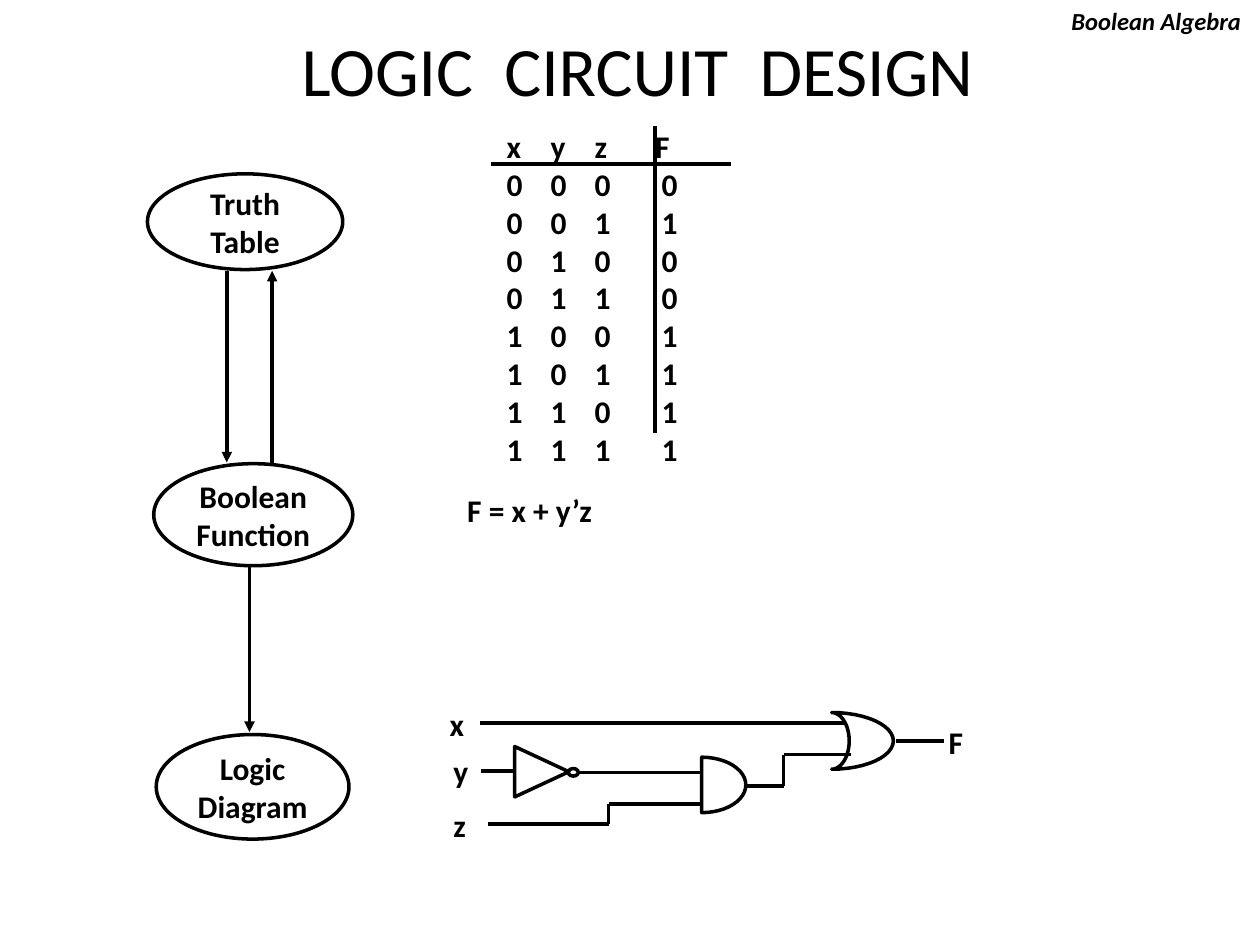
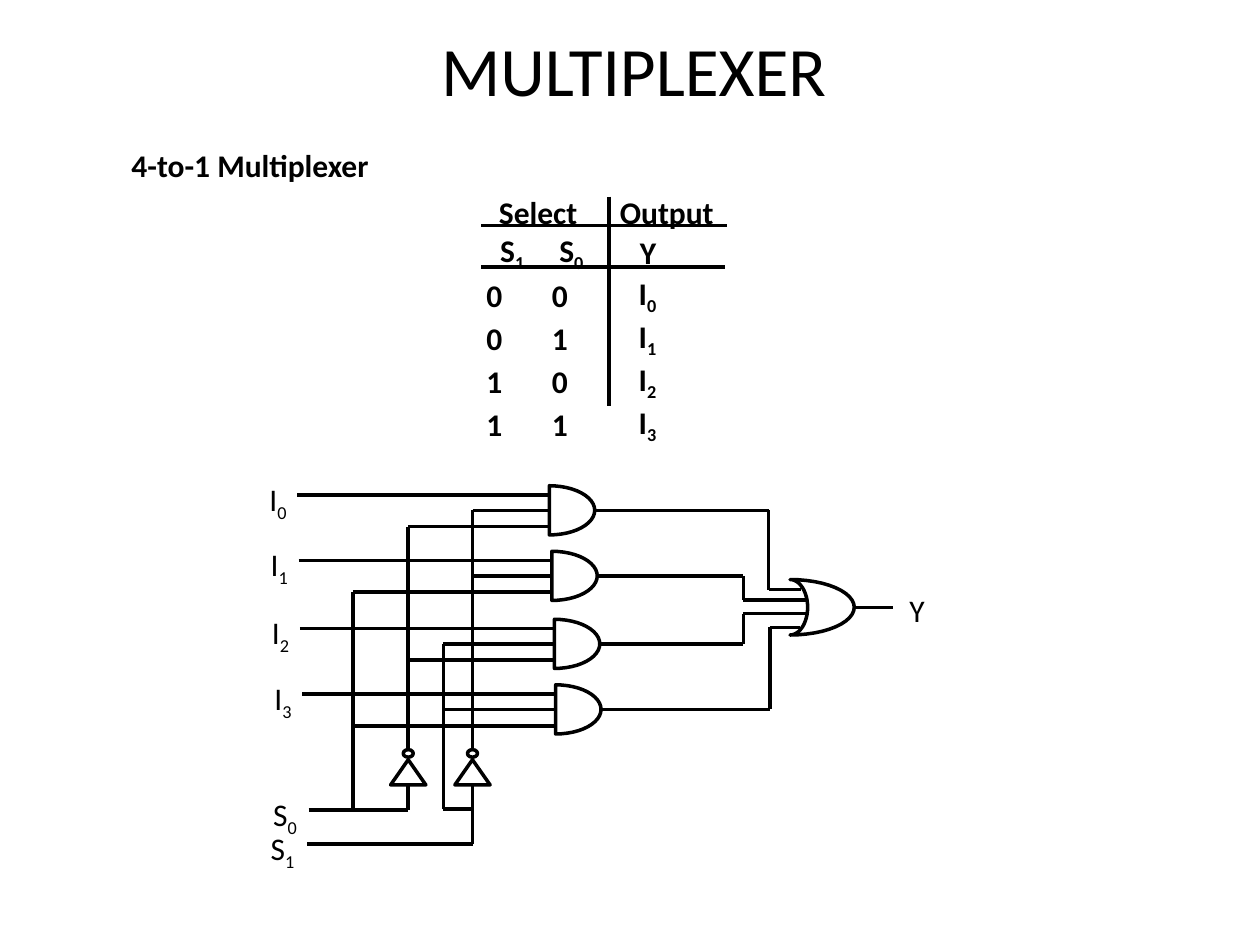
import math

import pptx
import pptx.dml.color
import pptx.enum.shapes
import pptx.enum.text
import pptx.util
import pptx.oxml.ns
import lxml.etree

COLS, ROWS = 100, 75
INKS = {"ink": "000000", "paper": "FFFFFF"}
FACE = "Calibri"
PLAIN = "{2D5ABB26-0587-4C30-8999-92F81FD0307C}"  # table style without grid
KIND = pptx.enum.shapes.MSO_SHAPE
ALIGN = pptx.enum.text.PP_ALIGN
ANCHOR = pptx.enum.text.MSO_ANCHOR


def tag(name):
    return pptx.oxml.ns.qn(name)


def ink(name):
    return pptx.dml.color.RGBColor.from_string(INKS[name])


class Deck:
    """Style and current slide; lengths are grid columns and rows."""

    def __init__(self):
        self.prs = pptx.Presentation()
        self.prs.slide_width = pptx.util.Inches(10)
        self.prs.slide_height = pptx.util.Inches(7.5)
        self.slide = None

    def x(self, cols):
        return round(self.prs.slide_width * cols / COLS)

    def y(self, rows):
        return round(self.prs.slide_height * rows / ROWS)

    def box(self, left, top, wide, high):
        return self.x(left), self.y(top), self.x(wide), self.y(high)

    def page(self, title, left):
        self.slide = self.prs.slides.add_slide(self.prs.slide_layouts[6])
        fill = self.slide.background.fill
        fill.solid()
        fill.fore_color.rgb = ink("paper")
        self.text(title, left, 3.4, 93.2, 4.1, size=39.6, bold=False,
                  align=ALIGN.CENTER, anchor=ANCHOR.MIDDLE)

    def words(self, para, text, size=18, bold=True, italic=False, align=ALIGN.LEFT):
        """Fill a paragraph; what follows "_" is a subscript."""
        para.alignment = align
        font = para.font
        font.name, font.size = FACE, pptx.util.Pt(size)
        font.bold, font.italic = bold, italic
        font.color.rgb = ink("ink")
        for i, part in enumerate(text.split("_")):
            run = para.add_run()
            run.text = part
            if i:
                run._r.get_or_add_rPr().set("baseline", "-25000")

    def text(self, text, left, top, wide=4.6, high=3.7, anchor=ANCHOR.TOP, **style):
        frame = self.slide.shapes.add_textbox(*self.box(left, top, wide, high)).text_frame
        frame.word_wrap = True
        frame.vertical_anchor = anchor
        self.words(frame.paragraphs[0], text, **style)

    def trim(self, shape):
        """Black outline, no fill, no shadow."""
        shape.shadow.inherit = False
        shape.fill.background()
        shape.line.color.rgb = ink("ink")
        shape.line.width = pptx.util.Pt(2)
        return shape

    def shape(self, kind, left, top, wide, high):
        return self.trim(self.slide.shapes.add_shape(kind, *self.box(left, top, wide, high)))

    def bubble(self, lines, *box):
        frame = self.shape(KIND.OVAL, *box).text_frame
        frame.word_wrap = False
        frame.vertical_anchor = ANCHOR.MIDDLE
        frame.margin_top = frame.margin_bottom = 0
        for i, line in enumerate(lines):
            para = frame.add_paragraph() if i else frame.paragraphs[0]
            self.words(para, line, align=ALIGN.CENTER)

    def wire(self, *dots, arrow=False, width=2):
        """Straight connectors from each (column, row) to the next."""
        for (x1, y1), (x2, y2) in zip(dots, dots[1:]):
            line = self.slide.shapes.add_connector(
                pptx.enum.shapes.MSO_CONNECTOR.STRAIGHT,
                self.x(x1), self.y(y1), self.x(x2), self.y(y2))
            line.line.color.rgb = ink("ink")
            line.line.width = pptx.util.Pt(width)
            if arrow:
                head = lxml.etree.SubElement(line.line._get_or_add_ln(), tag("a:tailEnd"))
                head.set("type", "triangle")
            lxml.etree.SubElement(line._element.spPr, tag("a:effectLst"))

    def gate_and(self, flat, mid, half, high):
        """Right half of an ellipse, its flat side at column flat."""
        gate = self.shape(KIND.CHORD, flat - half, mid - high / 2, 2 * half, high)
        gate.adjustments[0] = 162  # 270 degrees
        gate.adjustments[1] = 54   # 90 degrees

    def gate_or(self, left, mid, wide, half, steps=24):
        def arc(depth):
            turns = [math.pi * i / steps for i in range(steps + 1)]
            return [(self.x(left + depth * math.sin(t)),
                     self.y(mid - half * math.cos(t))) for t in turns]

        dots = arc(wide) + arc(1.4)[::-1]
        outline = self.slide.shapes.build_freeform(*dots[0])
        outline.add_line_segments(dots[1:], close=True)
        self.trim(outline.convert_to_shape())

    def table(self, left, top, widths, rows, highs, pads):
        """A bare table; pads holds the left inset of each cell, by row."""
        frame = self.slide.shapes.add_table(
            len(rows), len(widths), *self.box(left, top, sum(widths), sum(highs)))
        grid = frame.table
        grid.first_row = grid.horz_banding = False
        grid._tbl.tblPr.find(tag("a:tableStyleId")).text = PLAIN
        for col, wide in zip(grid.columns, widths):
            col.width = self.x(wide)
        for r, (texts, high, pad) in enumerate(zip(rows, highs, pads)):
            grid.rows[r].height = self.y(high)
            for c, text in enumerate(texts):
                cell = grid.cell(r, c)
                cell.fill.background()
                cell.margin_left = self.x(pad[c])
                cell.margin_right = cell.margin_top = cell.margin_bottom = 0
                cell.vertical_anchor = ANCHOR.MIDDLE
                self.words(cell.text_frame.paragraphs[0], text)
        return grid


def design(deck):
    deck.page("LOGIC  CIRCUIT  DESIGN", 4)
    deck.text("Boolean Algebra", 82.1, 0, 17.4, 3.1, size=14, italic=True, align=ALIGN.RIGHT)

    # Truth table of F, rows counted in binary
    rows = [["x", "y", "z", "F"]]
    for n in range(8):
        x, y, z = n >> 2, n >> 1 & 1, n & 1
        rows.append([str(bit) for bit in (x, y, z, x | (1 - y) & z)])
    pads = [[0, 0, 0, 0]] + [[0, 0, 0, 0.5]] * 8
    deck.table(40.2, 10.2, [3.5, 3.5, 4.8, 5], rows, [3] * 9, pads)
    deck.wire((39, 13), (58, 13))
    deck.wire((52, 10), (52, 34.4))
    deck.text("F = x + y’z", 36.1, 38.5, 13.9)

    # Steps of the design
    deck.bubble(["Truth", "Table"], 11.7, 13.8, 15.5, 7.6)
    deck.bubble(["Boolean", "Function"], 12.2, 36.8, 15.8, 8.1)
    deck.bubble(["Logic", "Diagram"], 12.4, 58.3, 15.3, 8.3)
    for x, start, end in [(18, 21.5, 36.7), (21.6, 36.9, 21.5), (19.8, 44.9, 58.1)]:
        deck.wire((x, start), (x, end), arrow=True)

    # Gates
    deck.shape(KIND.ISOSCELES_TRIANGLE, 41, 59.1, 4, 4.3).rotation = 90
    deck.shape(KIND.OVAL, 45.1, 61, 0.8, 0.6)
    deck.gate_and(55.7, 62.3, 3.5, 4.4)
    deck.gate_or(66, 58.8, 4.9, 2.25)

    # Wires and their names
    deck.wire((38.1, 57.4), (67.1, 57.4))
    deck.wire((38.2, 61.2), (40.8, 61.2))
    deck.wire((45.9, 61.3), (55.7, 61.3))
    deck.wire((38.7, 65.4), (48.3, 65.4), (48.3, 63.8), (55.7, 63.8))
    deck.wire((59.1, 62.4), (62.2, 62.4), (62.2, 59.9), (67.5, 59.9))
    deck.wire((71.1, 58.8), (74.9, 58.8))
    for name, left, top in [("x", 34.7, 55.5), ("y", 35, 59.2),
                            ("z", 35, 63.5), ("F", 74.3, 56.9)]:
        deck.text(name, left, top)


def choose(deck):
    deck.page("MULTIPLEXER", 3.7)
    deck.text("4-to-1 Multiplexer", 8.5, 11.1, 22.7, align=ALIGN.CENTER)

    # Select table
    rows = [["Select", "", "Output"], ["S_1", "S_0", "Y"]]
    rows += [[str(n >> 1), str(n & 1), f"I_{n}"] for n in range(4)]
    pads = [[1, 0, 0], [1.1, 0.6, 1.6]] + [[0, 0, 1.5]] * 4
    grid = deck.table(38.6, 15.4, [5.2, 5.4, 8.5], rows, [3, 3] + [3.4] * 4, pads)
    grid.cell(0, 0).merge(grid.cell(0, 1))
    deck.wire((38.2, 17.9), (57.7, 17.9))
    deck.wire((38.2, 21.2), (57.5, 21.2))
    deck.wire((48.3, 15.6), (48.3, 32.2), width=2.25)

    # AND gates: start, flat side, middle, S1 bus, S0 bus, bend, OR pin
    lanes = [
        (23.6, 43.6, 40.5, 37.5, 32.4, 61, (63.6, 46.8)),
        (23.7, 43.8, 45.7, 37.5, 28, 59, (64, 47.6)),
        (23.8, 44, 51.1, 35.2, 32.4, 59, (64, 48.7)),
        (24, 44.1, 56.3, 35.2, 28, 61.1, (63.5, 49.8)),
    ]
    for n, (start, flat, mid, high, low, bend, pin) in enumerate(lanes):
        deck.text(f"I_{n}", start - 3.2, mid - 2.9, bold=False)
        deck.gate_and(flat, mid, 3.6, 3.9)
        for x, y in [(start, mid - 1.2), (high, mid), (low, mid + 1.3)]:
            deck.wire((x, y), (flat, y))
        deck.wire((flat + 3.7, mid), (bend, mid), (bend, pin[1]), pin)

    # OR gate
    deck.gate_or(62.7, 48.2, 5.1, 2.2)
    deck.wire((67.8, 48.2), (70.9, 48.2))
    deck.text("Y", 71.2, 46.4, bold=False)

    # Inverters with the bus above each
    for x, top in [(32.4, 41.8), (37.5, 40.5)]:
        deck.shape(KIND.ISOSCELES_TRIANGLE, x - 1.4, 60.3, 2.8, 2)
        deck.shape(KIND.OVAL, x - 0.4, 59.5, 0.8, 0.6)
        deck.wire((x, 59.5), (x, top))

    # Select lines
    deck.wire((24.5, 64.3), (32.4, 64.3), (32.4, 62.4))
    deck.wire((24.4, 67), (37.5, 67), (37.5, 62.3))
    deck.wire((28, 64.3), (28, 47))
    deck.wire((37.5, 64.2), (35.2, 64.2), (35.2, 51.1))
    deck.text("S_0", 20.7, 62.6, bold=False)
    deck.text("S_1", 20.5, 65.3, bold=False)


def main():
    deck = Deck()
    design(deck)
    choose(deck)
    deck.prs.save("out.pptx")


if __name__ == "__main__":
    main()
